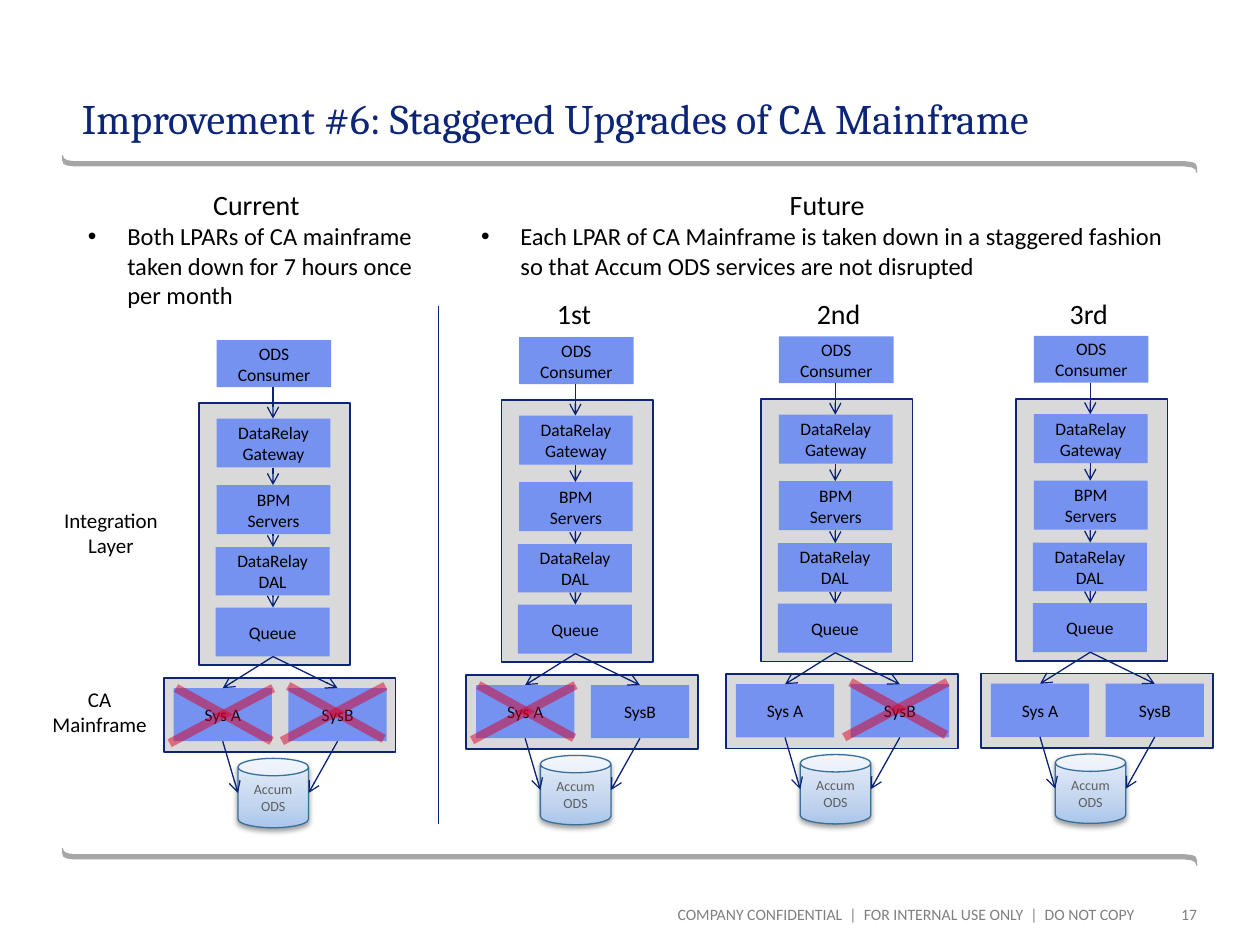
import dataclasses
import lxml.etree
import pptx
import pptx.dml.color
import pptx.enum.shapes
import pptx.enum.text
import pptx.oxml.ns
import pptx.util

Pt = pptx.util.Pt
qn = pptx.oxml.ns.qn
KIND = pptx.enum.shapes.MSO_SHAPE
SIDE = pptx.enum.text.PP_ALIGN
HOLD = pptx.enum.text.MSO_ANCHOR
NAVY, EDGE, BLUE, RED = "092377", "0C2577", "7592F1", "D90026"
PALE, GREY, BLACK = "D9D9D9", "808080", "000000"
INSET = (7.2, 3.6, 7.2, 3.6)


@dataclasses.dataclass(frozen=True)
class Box:
    x: float
    y: float
    w: float
    h: float
    text: tuple = ()  # paragraphs; lines within one are split by a break

    def move(self, dx: float, dy: float) -> "Box":
        return dataclasses.replace(self, x=self.x + dx, y=self.y + dy)


@dataclasses.dataclass(frozen=True)
class Line:
    x: float
    y: float
    x2: float
    y2: float

    def move(self, dx: float, dy: float) -> "Line":
        return Line(self.x + dx, self.y + dy, self.x2 + dx, self.y2 + dy)


@dataclasses.dataclass(frozen=True)
class Stack:
    x: float
    y: float
    down: tuple = ()  # systems crossed out
    name: str = ""
    gap: float = 0


# Parts of one stack, measured from the left of the mainframe and top of the consumer
FRAMES = (Box(0, 193, 132.5, 42.5), Box(20.2, 36, 86.4, 149.8))
STEPS = (
    Box(30.2, 0, 65.5, 26.8, (("ODS",), ("Consumer",))),
    Box(30.2, 44.8, 65, 28, (("DataRelay",), ("Gateway",))),
    Box(30.2, 82.8, 65, 28, (("BPM Servers",),)),
    Box(29.6, 118.2, 65.2, 27.7, (("DataRelay",), ("DAL",))),
    Box(29.6, 152.8, 65.2, 28, (("Queue",),)),
)
SYSTEMS = {
    "A": Box(5.6, 198.8, 56.2, 30.4, (("Sys A",),)),
    "B": Box(71.2, 198.8, 56.2, 30.4, (("SysB",),)),
}
CAN = Box(42.4, 239, 40.3, 39.6, (("Accum", "ODS"),))
CROSS = (Line(56.9, 0, -2.2, 31.5), Line(56, 30.2, 1.4, 0))
NUDGE = {"A": (0, 0), "B": (-1.5, -1.2)}
MID = 62.4
STACKS = (
    Stack(93.6, 194.4, ("A", "B")),
    Stack(266.4, 192.7, ("A",), "1st", 38.9),
    Stack(414.9, 192.2, ("B",), "2nd", 41.6),
    Stack(560.6, 191.9, (), "3rd", 38.9),
)


def color(code: str) -> pptx.dml.color.RGBColor:
    return pptx.dml.color.RGBColor.from_string(code)


def write(para, lines: tuple, size: float, ink: str, font: str = "Calibri") -> None:
    for i, line in enumerate(lines):
        if i:
            para.add_line_break()
        run = para.add_run()
        run.text = line
        run.font.size = Pt(size)
        run.font.name = font
        run.font.color.rgb = color(ink)


def fill_text(frame, paras: tuple, size: float, ink: str = BLACK, font: str = "Calibri",
              side=SIDE.CENTER, hold=HOLD.MIDDLE, inset: tuple = INSET) -> None:
    frame.word_wrap = True
    frame.vertical_anchor = hold
    frame.margin_left, frame.margin_top, frame.margin_right, frame.margin_bottom = map(Pt, inset)
    for i, lines in enumerate(paras):
        para = frame.add_paragraph() if i else frame.paragraphs[0]
        para.alignment = side
        write(para, lines, size, ink, font)


def add_text(slide, box: Box, size: float, **style):
    area = slide.shapes.add_textbox(Pt(box.x), Pt(box.y), Pt(box.w), Pt(box.h))
    fill_text(area.text_frame, box.text, size, **style)
    return area.text_frame


def add_bullet(frame, text: str) -> None:
    para = frame.add_paragraph()
    write(para, (text,), 14, BLACK)
    props = para._p.get_or_add_pPr()
    props.set("marL", str(Pt(22.5)))
    props.set("indent", str(-Pt(22.5)))
    lxml.etree.SubElement(props, qn("a:buFont")).set("typeface", "Arial")
    lxml.etree.SubElement(props, qn("a:buChar")).set("char", "•")


def add_box(slide, box: Box, fill: str, edge: str = "", width: float = 1,
            kind=KIND.RECTANGLE, size: float = 10, ink: str = BLACK):
    shape = slide.shapes.add_shape(kind, Pt(box.x), Pt(box.y), Pt(box.w), Pt(box.h))
    shape.shadow.inherit = False
    shape.fill.solid()
    shape.fill.fore_color.rgb = color(fill)
    if edge:
        shape.line.color.rgb = color(edge)
        shape.line.width = Pt(width)
    else:
        shape.line.fill.background()
    fill_text(shape.text_frame, box.text, size, ink)
    return shape


def tint(parent, code: str, alpha: int = 100) -> None:
    node = lxml.etree.SubElement(parent, qn("a:srgbClr"), val=code)
    if alpha < 100:
        lxml.etree.SubElement(node, qn("a:alpha"), val=str(alpha * 1000))


def add_can(slide, box: Box) -> None:
    can = add_box(slide, box, "C4D6EF", "396F9B", 0.75, KIND.CAN, 8, "5E5E5E")
    can.fill.gradient()
    can.fill.gradient_angle = 90
    props = can._element.spPr
    stops = props.find(".//" + qn("a:gsLst"))
    for stop in list(stops):
        stops.remove(stop)
    for pos, code in ((0, "AAC6EA"), (35, "C4D6EF"), (100, "E8EFFA")):
        tint(lxml.etree.SubElement(stops, qn("a:gs"), pos=str(pos * 1000)), code)
    shade = lxml.etree.SubElement(
        props.find(qn("a:effectLst")), qn("a:outerShdw"), blurRad=str(Pt(3.1)),
        dist=str(Pt(1.6)), dir="5400000", rotWithShape="0")
    tint(shade, BLACK, 38)


def add_line(slide, line: Line, ink: str = NAVY, width: float = 0.75,
             arrow: bool = False, alpha: int = 100) -> None:
    link = slide.shapes.add_connector(
        pptx.enum.shapes.MSO_CONNECTOR.STRAIGHT,
        Pt(line.x), Pt(line.y), Pt(line.x2), Pt(line.y2))
    link.line.color.rgb = color(ink)
    link.line.width = Pt(width)
    props = link._element.spPr
    if alpha < 100:
        tone = props.find(".//" + qn("a:srgbClr"))
        lxml.etree.SubElement(tone, qn("a:alpha"), val=str(alpha * 1000))
    if arrow:
        lxml.etree.SubElement(props.find(qn("a:ln")), qn("a:tailEnd"), type="arrow")
    lxml.etree.SubElement(props, qn("a:effectLst"))


def add_rule(slide, x: float, y: float) -> None:
    half = [(7.2, 3.5), (3, 2.9), (1.1, 1.7), (0.6, 0), (0, 0),
            (0.1, 2.9), (0.9, 5), (2.9, 6), (7.2, 6.5)]
    dots = half + [(648.8 - a, 10 - b) for a, b in half]
    spots = [(Pt(x + a), Pt(y + b)) for a, b in dots]
    pen = slide.shapes.build_freeform(*spots[0], scale=1.0)
    pen.add_line_segments(spots[1:], close=True)
    rule = pen.convert_to_shape()
    rule.shadow.inherit = False
    rule.fill.solid()
    rule.fill.fore_color.rgb = color("A6A6A6")
    rule.line.fill.background()


def add_stack(slide, stack: Stack) -> None:
    at = (stack.x, stack.y)
    for box in FRAMES:
        add_box(slide, box.move(*at), PALE, EDGE)
    for box in (*STEPS, *SYSTEMS.values()):
        add_box(slide, box.move(*at), BLUE)
    add_can(slide, CAN.move(*at))
    # Arrows down the steps, out to both systems and into the can
    links = [Line(MID, a.y + a.h, MID, b.y) for a, b in zip(STEPS, STEPS[1:])]
    foot = STEPS[-1].y + STEPS[-1].h
    for box, rim in zip(SYSTEMS.values(), (CAN.x, CAN.x + CAN.w)):
        mid = box.x + box.w / 2
        links += [Line(MID, foot, mid, box.y),
                  Line(mid, box.y + box.h, rim, CAN.y + CAN.h / 2)]
    for line in links:
        add_line(slide, line.move(*at), arrow=True)
    for key in stack.down:
        box = SYSTEMS[key].move(*at).move(*NUDGE[key])
        for line in CROSS:
            add_line(slide, line.move(box.x, box.y), RED, 5, alpha=50)
    if stack.name:
        add_text(slide, Box(stack.x + stack.gap, 166, 45.4, 26.6, ((stack.name,),)), 16, hold=HOLD.TOP)


def main() -> None:
    deck = pptx.Presentation()
    deck.slide_width, deck.slide_height = Pt(720), Pt(540)
    slide = deck.slides.add_slide(deck.slide_layouts[6])
    # Title, rules and footer
    for y in (88.6, 484.6):
        add_rule(slide, 35.4, y)
    title = "Improvement #6: Staggered Upgrades of CA Mainframe"
    add_text(slide, Box(36, 5.8, 648, 79.2, ((title,),)), 24, ink=EDGE, font="Cambria",
             side=SIDE.LEFT, hold=HOLD.BOTTOM, inset=(10.8, 3.6, 7.2, 3.6))
    note = "COMPANY CONFIDENTIAL  |  FOR INTERNAL USE ONLY  |  DO NOT COPY"
    for x, wide, text in ((246.2, 401.8, note), (653.8, 30.2, "17")):
        add_text(slide, Box(x, 517, wide, 10.8, ((text,),)), 9, ink=GREY,
                 side=SIDE.RIGHT, inset=(0, 0, 0, 0))
    # Headings with their bullets
    for x, wide, high, head, text in (
        (43.2, 206.6, 77.8, "Current",
         "Both LPARs of CA mainframe taken down for 7 hours once per month"),
        (267.8, 409.7, 60.5, "Future",
         "Each LPAR of CA Mainframe is taken down in a staggered fashion "
         "so that Accum ODS services are not disrupted"),
    ):
        add_bullet(add_text(slide, Box(x, 103.7, wide, high, ((head,),)), 16, hold=HOLD.TOP), text)
    # Row labels, divider and stacks
    for x, y, rows in ((20.9, 286.6, (("Integration",), ("Layer",))),
                       (14.4, 388.8, (("CA",), ("Mainframe",)))):
        add_text(slide, Box(x, y, 85, 36, rows), 12, hold=HOLD.TOP)
    add_line(slide, Line(250.6, 175, 250.6, 470.9))
    for stack in STACKS:
        add_stack(slide, stack)
    deck.save("out.pptx")


if __name__ == "__main__":
    main()
